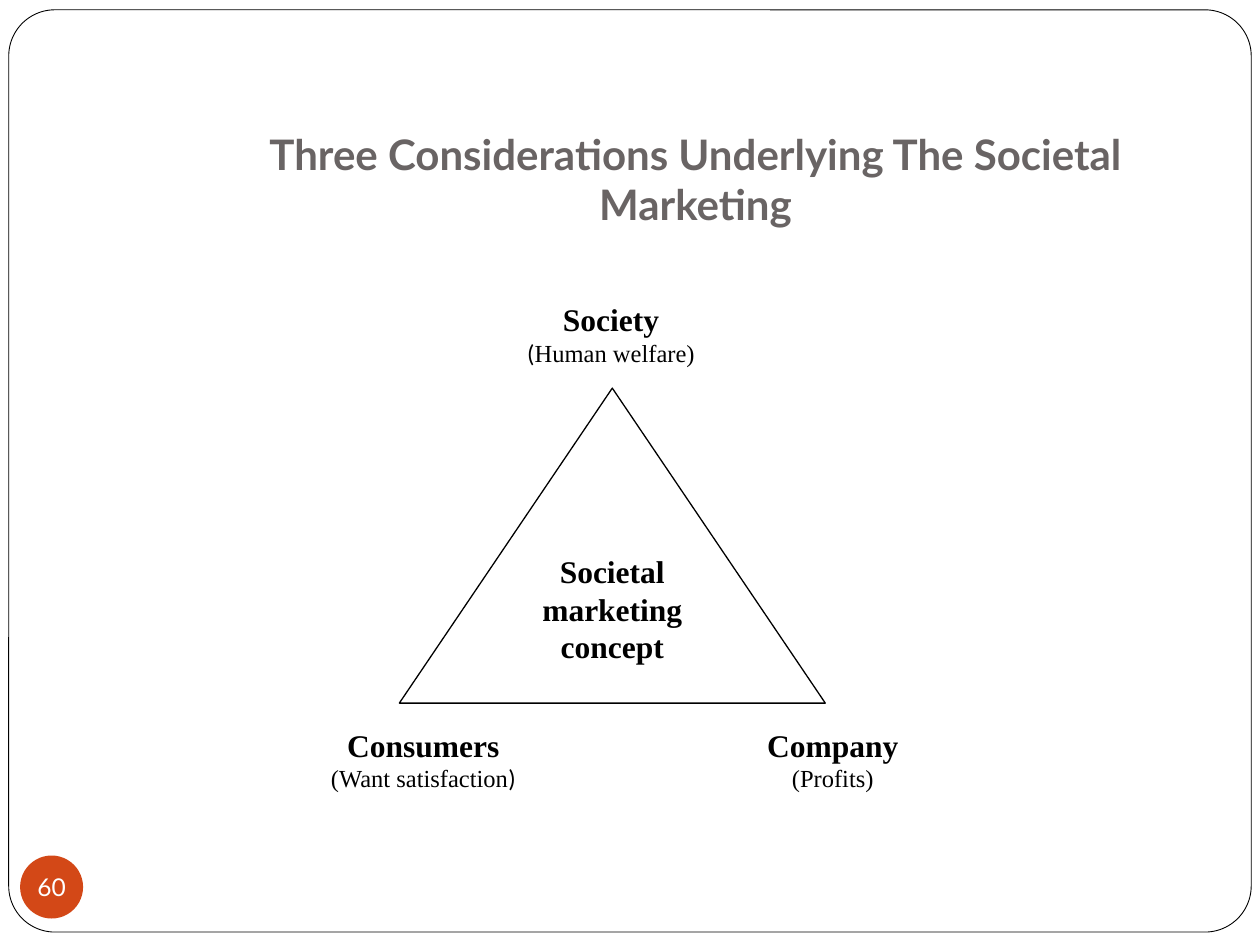
"""Build a slide showing the three considerations of societal marketing."""
from pptx import Presentation
from pptx.dml.color import RGBColor
from pptx.enum import shapes, text
from pptx.util import Pt

COLOURS = {"paper": "FFFFFF", "ink": "000000", "title": "696464", "badge": "D34817"}
SERIF, SANS, HEADING = "Times New Roman", "Calibri", "Lato"
CORNERS = [
    ((272.9, 167.8, 152.6, 72), "Society", [("(", SANS), ("Human welfare)", SERIF)]),
    ((426.2, 411.1, 99.4, 44.6), "Company", [("(Profits)", SERIF)]),
    ((174.2, 411.1, 135.4, 44.6), "Consumers", [("(Want satisfaction", SERIF), (")", SANS)]),
]


def colour(name):
    return RGBColor.from_string(COLOURS[name])


def style(para, size, face, ink="ink", bold=False):
    para.alignment = text.PP_ALIGN.CENTER
    para.font.size = Pt(size)
    para.font.name = face
    para.font.bold = bold
    para.font.color.rgb = colour(ink)


def add_figure(page, kind, place, fill, line_width=None):
    figure = page.shapes.add_shape(kind, *map(Pt, place))
    figure.shadow.inherit = False
    figure.fill.solid()
    figure.fill.fore_color.rgb = colour(fill)
    if line_width:
        figure.line.color.rgb = colour("ink")
        figure.line.width = Pt(line_width)
    else:
        figure.line.fill.background()
    return figure


def set_title(page, words):
    title = page.shapes.title
    title.left, title.top, title.width, title.height = map(Pt, (90.7, 77.8, 613.4, 60.5))
    frame = title.text_frame
    frame.text = words
    frame.auto_size = text.MSO_AUTO_SIZE.NONE
    frame.vertical_anchor = text.MSO_ANCHOR.BOTTOM
    frame.margin_bottom = Pt(7.2)
    style(frame.paragraphs[0], 24, HEADING, "title", True)


def add_badge(page, number):
    badge = add_figure(page, shapes.MSO_SHAPE.OVAL, (11.5, 488.9, 36, 36), "badge")
    frame = badge.text_frame
    frame.margin_left = frame.margin_right = frame.margin_top = frame.margin_bottom = 0
    frame.word_wrap = False
    frame.vertical_anchor = text.MSO_ANCHOR.MIDDLE
    frame.text = number
    style(frame.paragraphs[0], 14, HEADING, "paper")


def add_triangle(page, words):
    place = (228.2, 221.8, 243.4, 180)
    triangle = add_figure(page, shapes.MSO_SHAPE.ISOSCELES_TRIANGLE, place, "paper", 0.75)
    frame = triangle.text_frame
    frame.vertical_anchor = text.MSO_ANCHOR.TOP
    frame.text = words
    style(frame.paragraphs[0], 18, SERIF, bold=True)


def add_corner(page, place, name, detail):
    frame = page.shapes.add_textbox(*map(Pt, place)).text_frame
    frame.word_wrap = True
    frame.text = name
    style(frame.paragraphs[0], 18, SERIF, bold=True)
    para = frame.add_paragraph()
    style(para, 14, SERIF)
    for words, face in detail:
        span = para.add_run()
        span.text = words
        span.font.name = face


def main():
    deck = Presentation()
    deck.slide_width, deck.slide_height = Pt(720), Pt(540)
    page = deck.slides.add_slide(deck.slide_layouts[5])
    border = add_figure(page, shapes.MSO_SHAPE.ROUNDED_RECTANGLE, (5, 5.6, 710, 527), "paper", 0.5)
    border.adjustments[0] = 0.05
    page.shapes.element.insert(2, border.element)
    add_badge(page, "60")
    set_title(page, "Three Considerations Underlying The Societal Marketing")
    add_triangle(page, "Societal marketing concept")
    for corner in CORNERS:
        add_corner(page, *corner)
    deck.save("out.pptx")


if __name__ == "__main__":
    main()
